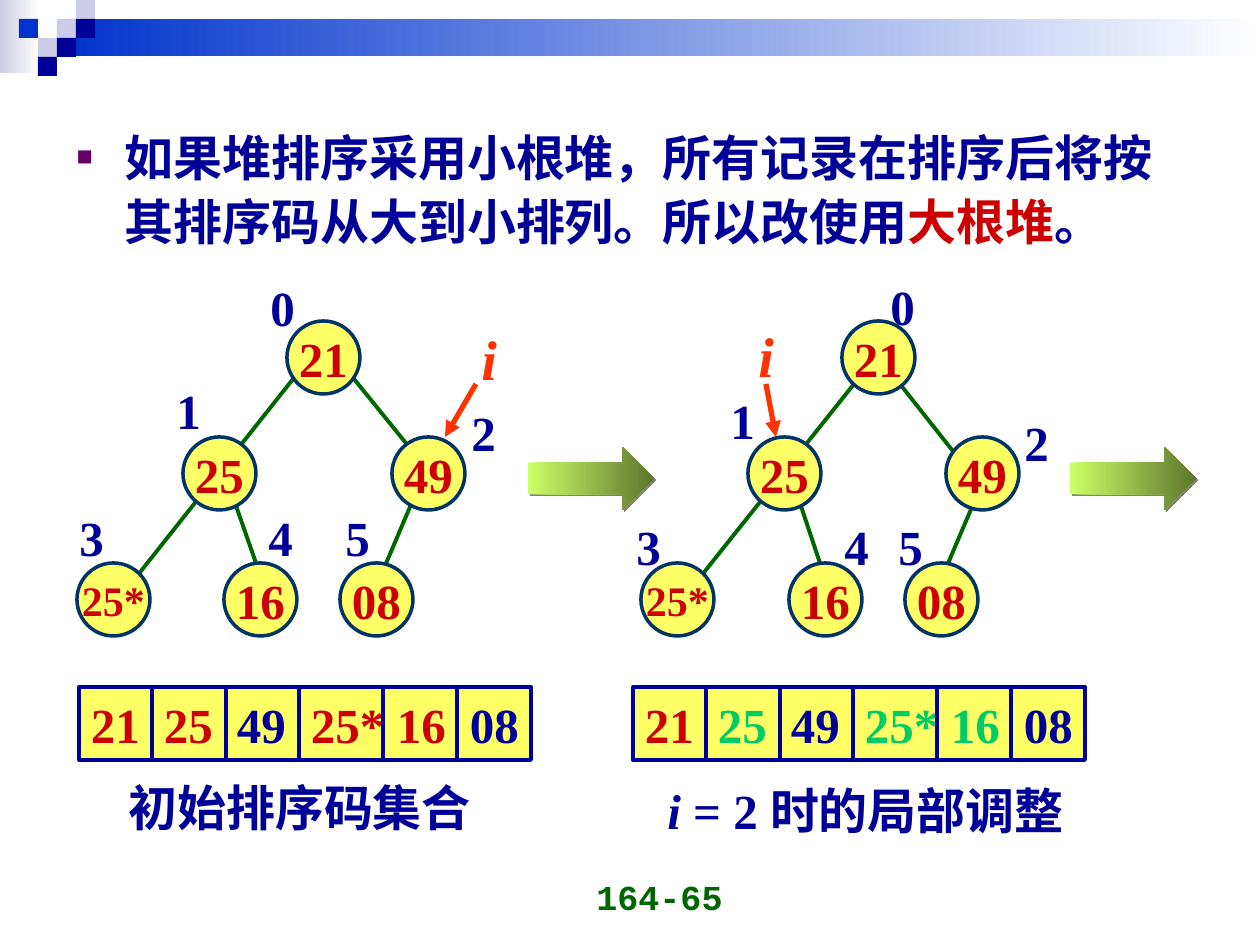
from lxml import etree
from pptx import Presentation
from pptx import util as u
from pptx.dml.color import RGBColor
from pptx.enum import shapes, text
from pptx.oxml import ns

PX = 914400 // 126
NAVY = RGBColor(0, 0, 0x99)
BLUE = RGBColor(0, 0x33, 0xCC)
LILAC = RGBColor(0xCC, 0xCC, 0xE6)
WHITE = RGBColor(0xFF, 0xFF, 0xFF)
RED = RGBColor(0xCC, 0, 0)
ORANGE = RGBColor(0xFF, 0x33, 0)
GREEN = RGBColor(0, 0x66, 0)
MINT = RGBColor(0, 0xCC, 0x66)
YELLOW = RGBColor(0xFF, 0xFF, 0x66)
TEAL = RGBColor(0, 0x33, 0x66)
LIME = RGBColor(0xCC, 0xFF, 0x66)
OLIVE = RGBColor(0x5E, 0x76, 0x2F)
SERIF = "Times New Roman"
SHAPE = shapes.MSO_SHAPE
ALIGN = text.PP_ALIGN
ANCHOR = text.MSO_ANCHOR

NODE = 73  # node diameter and array row height
LEVELS = [0, 116, 116, 242, 242, 242]
CELL_EDGES = [73, 147, 220, 304, 378]
CELL_TABS = [73, 146, 220, 306, 379]


def child(parent, tag, **attrs):
    return etree.SubElement(parent, ns.qn(tag), {k: str(v) for k, v in attrs.items()})


def add_run(p, words, color, size=28, font=SERIF, italic=False):
    r = p.add_run()
    r.text = words
    f = r.font
    f.name, f.size, f.bold, f.italic = font, u.Pt(size), True, italic
    f.color.rgb = color


def add_box(s, kind, x, y, w, h, fill, line=None, width=0):
    """A preset shape; a pair of colours gives a left-to-right gradient."""
    sp = s.shapes.add_shape(kind, x * PX, y * PX, w * PX, h * PX)
    sp.shadow.inherit = False
    if isinstance(fill, RGBColor):
        sp.fill.solid()
        sp.fill.fore_color.rgb = fill
    else:
        sp.fill.gradient()
        sp.fill.gradient_angle = 0
        for stop, color, pos in zip(sp.fill.gradient_stops, fill, (0, 1)):
            stop.color.rgb, stop.position = color, pos
    if line is None:
        sp.line.fill.background()
    else:
        sp.line.color.rgb, sp.line.width = line, u.Pt(width)
    return sp


def add_label(s, x, y, w, h, runs):
    tf = s.shapes.add_textbox(x * PX, y * PX, w * PX, h * PX).text_frame
    tf.word_wrap = False
    for words, style in runs:
        add_run(tf.paragraphs[0], words, **style)
    return tf


def add_line(s, x1, y1, x2, y2, color, width, arrow=False):
    c = s.shapes.add_connector(shapes.MSO_CONNECTOR.STRAIGHT,
                               x1 * PX, y1 * PX, x2 * PX, y2 * PX)
    c.line.color.rgb, c.line.width = color, u.Pt(width)
    if arrow:
        child(c.line._get_or_add_ln(), "a:tailEnd", type="triangle")
    child(c._element.spPr, "a:effectLst")


def add_header(s):
    add_box(s, SHAPE.RECTANGLE, 0, 0, 39, 73, (LILAC, WHITE))
    add_box(s, SHAPE.RECTANGLE, 57, 19, 1203, 37, (BLUE, WHITE))
    tiles = [(3, 1, LILAC), (4, 0, LILAC), (4, 1, NAVY), (2, 2, LILAC),
             (1, 1, BLUE), (3, 2, NAVY), (2, 3, NAVY)]
    for col, row, color in tiles:
        add_box(s, SHAPE.RECTANGLE, col * 19, row * 19, 19, 19, color)


def add_body(s, x, y, w, h):
    sp = s.placeholders[1]
    sp.left, sp.top, sp.width, sp.height = x * PX, y * PX, w * PX, h * PX
    tf = sp.text_frame
    tf.auto_size = text.MSO_AUTO_SIZE.NONE
    p = tf.paragraphs[0]
    p.line_spacing, p.space_before = 1.1, u.Pt(0)
    pPr = p._p.get_or_add_pPr()
    pPr.set("marL", str(48 * PX))
    pPr.set("indent", str(-48 * PX))
    child(child(pPr, "a:buClr"), "a:srgbClr", val="660066")
    child(pPr, "a:buSzPct", val=55000)
    child(pPr, "a:buFont", typeface="Arial")
    child(pPr, "a:buChar", char="■")
    add_run(p, "如果堆排序采用小根堆，所有记录在排序后将按其排序码从大到小排列。所以改使用",
            NAVY, font="Arial")
    add_run(p, "大根堆", RED, font="Arial")
    add_run(p, "。", NAVY, font="Arial")


def add_tree(s, x, y, node_xs, edges, labels, marker, pointer):
    """A heap of six nodes with indices, and the pointer i."""
    for x1, y1, x2, y2 in edges:
        add_line(s, x + x1, y + y1, x + x2, y + y2, GREEN, 2.25)
    for key, dx, dy in zip(["21", "25", "49", "25*", "16", "08"], node_xs, LEVELS):
        sp = add_box(s, SHAPE.OVAL, x + dx, y + dy, NODE, NODE, YELLOW, TEAL, 2)
        tf = sp.text_frame
        tf.word_wrap, tf.vertical_anchor = False, ANCHOR.MIDDLE
        tf.paragraphs[0].alignment = ALIGN.CENTER
        add_run(tf.paragraphs[0], key, RED, 24 if len(key) > 2 else 28)
    for i, (dx, dy) in enumerate(labels):
        add_label(s, x + dx, y + dy, 49, 72, [(str(i), {"color": NAVY})])
    add_label(s, x + marker[0], y + marker[1], 40, 81,
              [("i", {"color": ORANGE, "size": 32, "italic": True})])
    x1, y1, x2, y2 = pointer
    add_line(s, x + x1, y + y1, x + x2, y + y2, ORANGE, 3, arrow=True)


def add_array(s, x, y, colors, caption_box, caption):
    """The array row of six keys with its caption."""
    sp = add_box(s, SHAPE.RECTANGLE, x, y, 452, NODE, YELLOW, NAVY, 2.25)
    tf = sp.text_frame
    tf.word_wrap, tf.vertical_anchor = True, ANCHOR.MIDDLE
    tf.margin_left, tf.margin_right = 12 * PX, 0
    p = tf.paragraphs[0]
    p.alignment = ALIGN.LEFT
    tabs = child(p._p.get_or_add_pPr(), "a:tabLst")
    for pos in CELL_TABS:
        child(tabs, "a:tab", pos=pos * PX, algn="l")
    for i, (key, color) in enumerate(zip(["21", "25", "49", "25*", "16", "08"], colors)):
        add_run(p, "\t" * (i > 0) + key, color)
    for dx in CELL_EDGES:
        add_line(s, x + dx, y, x + dx, y + NODE, NAVY, 2.25)
    dx, dy, w = caption_box
    add_label(s, x + dx, y + dy, w, 72, caption)


def add_step_arrow(s, x, y):
    sp = add_box(s, SHAPE.RIGHT_ARROW, x, y, 126, 63, (LIME, OLIVE))
    effects = sp._element.spPr.find(ns.qn("a:effectLst"))
    shadow = child(effects, "a:outerShdw", dist=17780, dir=2700000, algn="ctr", rotWithShape=0)
    child(shadow, "a:srgbClr", val="808080")


def add_page_number(s, x, y, w, h):
    tf = add_label(s, x, y, w, h, [("164-65", {"color": GREEN, "size": 20, "font": "Courier New"})])
    tf.word_wrap, tf.vertical_anchor = True, ANCHOR.BOTTOM
    tf.paragraphs[0].alignment = ALIGN.RIGHT


def main():
    prs = Presentation()
    prs.slide_width, prs.slide_height = u.Inches(10), u.Inches(7.5)
    s = prs.slides.add_slide(prs.slide_layouts[1])
    title = s.shapes.title._element
    title.getparent().remove(title)

    add_header(s)
    add_body(s, 64, 115, 1134, 159)

    # Initial keys
    add_array(s, 79, 687, [RED, RED, NAVY, RED, RED, NAVY], (37, 84, 368),
              [("初始排序码集合", {"color": NAVY})])
    add_tree(s, 77, 321, [210, 106, 315, 0, 147, 263],
             [(336, 179, 305, 252), (157, 179, 179, 242), (273, 53, 358, 158), (220, 53, 53, 264)],
             [(181, -50), (87, 53), (382, 75), (-10, 180), (179, 180), (256, 180)],
             (392, -3), (399, 63, 368, 116))
    add_step_arrow(s, 528, 447)

    # Local adjustment for i = 2
    add_array(s, 633, 687, [RED, MINT, NAVY, MINT, MINT, NAVY], (22, 87, 433),
              [("i", {"color": NAVY, "italic": True}), (" = 2 时的局部调整", {"color": NAVY})])
    add_tree(s, 641, 321, [201, 107, 305, 0, 148, 264],
             [(334, 179, 303, 252), (158, 179, 179, 242), (251, 53, 334, 158), (221, 53, 53, 264)],
             [(237, -51), (77, 63), (371, 85), (-17, 189), (191, 189), (245, 189)],
             (105, -6), (125, 63, 135, 116))
    add_step_arrow(s, 1070, 447)

    add_page_number(s, 441, 861, 294, 63)
    prs.save("out.pptx")


if __name__ == "__main__":
    main()
